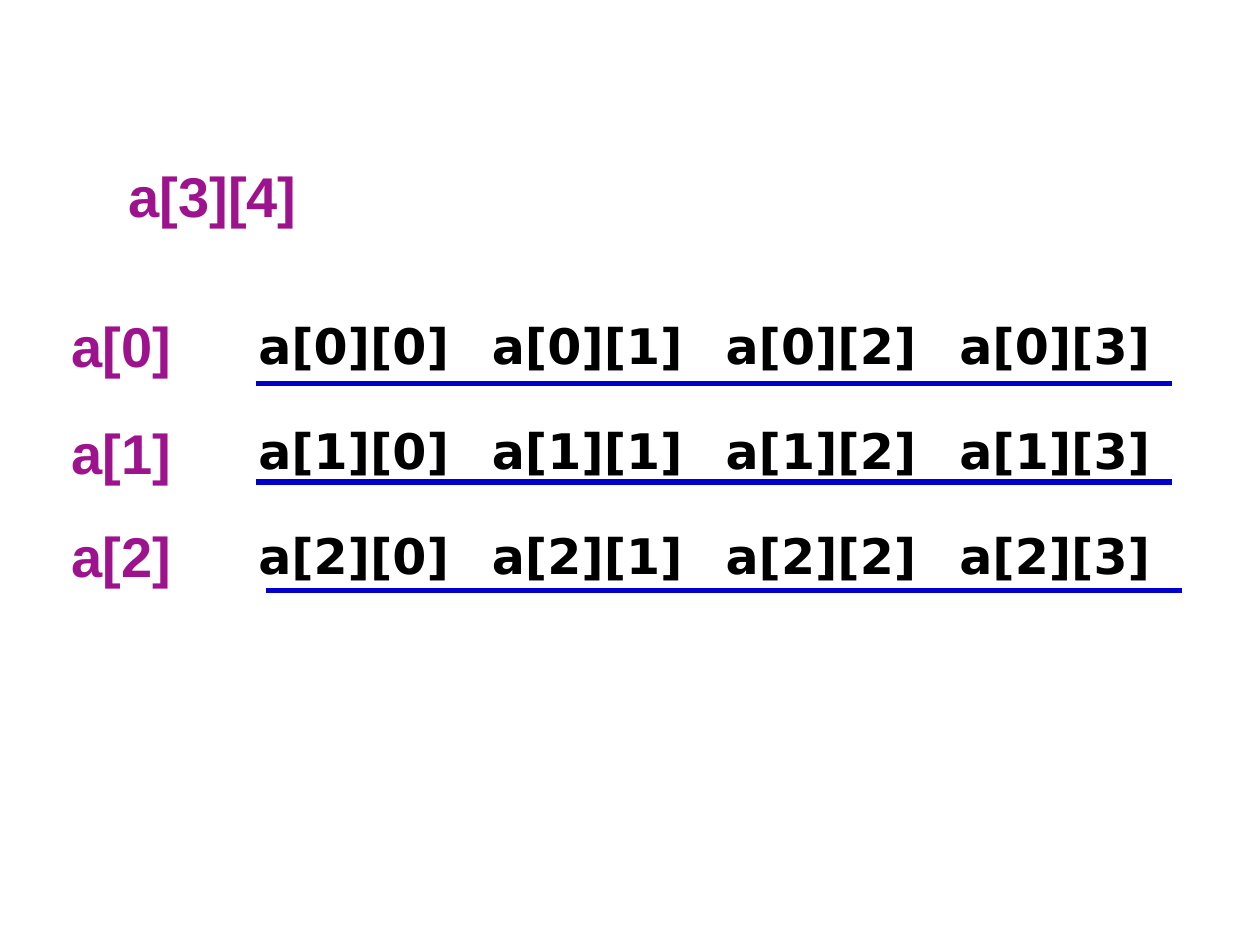
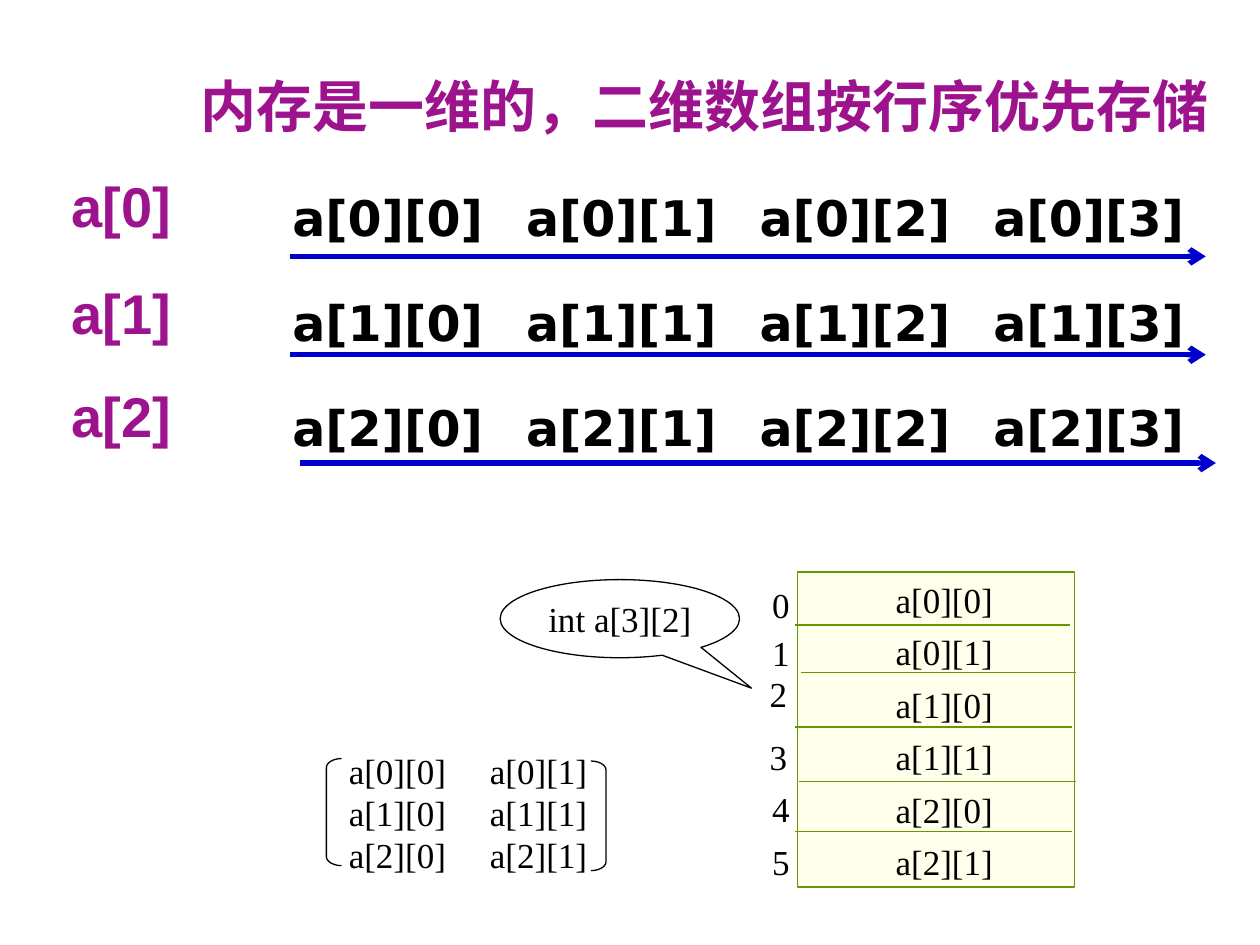
from dataclasses import dataclass

from lxml import etree
from pptx import Presentation
from pptx.dml.color import RGBColor
from pptx.enum.shapes import MSO_CONNECTOR, MSO_SHAPE
from pptx.enum.text import MSO_ANCHOR, MSO_AUTO_SIZE, PP_ALIGN
from pptx.oxml.ns import qn
from pptx.util import Inches, Pt

LINE = MSO_CONNECTOR.STRAIGHT
RECTANGLE = MSO_SHAPE.RECTANGLE
CALLOUT = MSO_SHAPE.OVAL_CALLOUT
LEFT_BRACKET = MSO_SHAPE.LEFT_BRACKET
RIGHT_BRACKET = MSO_SHAPE.RIGHT_BRACKET
TOP = MSO_ANCHOR.TOP
MIDDLE = MSO_ANCHOR.MIDDLE
ALIGN_LEFT = PP_ALIGN.LEFT
ALIGN_CENTER = PP_ALIGN.CENTER
NO_AUTO_SIZE = MSO_AUTO_SIZE.NONE

SLIDE_WIDTH = Inches(10)
SLIDE_HEIGHT = Inches(7.5)
COLUMN = SLIDE_WIDTH / 100
ROW = SLIDE_HEIGHT / 75
TITLE_ONLY = 5

PURPLE = "9D138D"
BLUE = "0000CC"
GREEN = "669900"
CREAM = "FFFFEB"
WHITE = "FFFFFF"
BLACK = "000000"


@dataclass(frozen=True)
class TextStyle:
    font: str
    size: int
    color: str
    bold: bool = False


@dataclass(frozen=True)
class Area:
    left: float
    top: float
    width: float
    height: float

    def lengths(self) -> tuple[int, int, int, int]:
        return (columns(self.left), rows(self.top),
                columns(self.width), rows(self.height))


@dataclass(frozen=True)
class ArrayRow:
    label_drop: float
    label_width: float
    line_shift: float
    line_drop: float


@dataclass(frozen=True)
class ArrayView:
    left: float
    top: float
    label_top: float
    arrow: bool


@dataclass(frozen=True)
class Divider:
    left: float
    top: float
    width: float


HEADING = TextStyle("Arial", 32, PURPLE, True)
ELEMENT = TextStyle("DejaVu Sans", 28, BLACK, True)
NOTE = TextStyle("Times New Roman", 20, BLACK)

HEADING_HEIGHT = 6.4
NOTE_HEIGHT = 4.4
ARRAY_COLUMNS = 4
ARRAY_ROWS = (
    ArrayRow(0, 11.7, 0.8, 7.05),
    ArrayRow(8.55, 11.7, 0.8, 14.85),
    ArrayRow(16.7, 12.5, 1.6, 23.45),
)
LOGICAL_VIEW = ArrayView(19.5, 23.4, 24.2, False)
STORAGE_VIEW = ArrayView(22.2, 13.3, 13.1, True)

MEMORY = Area(63.3, 45.4, 22, 25)
DIVIDERS = (
    Divider(63.1, 49.6, 21.8),
    Divider(63.6, 53.4, 21.8),
    Divider(63.1, 57.7, 22),
    Divider(63.4, 62, 22),
    Divider(63.1, 66, 22),
)
ADDRESSES = ((60.3, 45.8), (60.3, 49.6), (60.1, 52.9),
             (60.1, 57.9), (60.3, 62), (60.3, 66.2))
BRACKETS = (
    (LEFT_BRACKET, Area(25.9, 60.2, 1.2, 8.5)),
    (RIGHT_BRACKET, Area(46.9, 60.4, 1.2, 8.7)),
)


def columns(count: float) -> int:
    return round(COLUMN * count)


def rows(count: float) -> int:
    return round(ROW * count)


def color(value: str) -> RGBColor:
    return RGBColor.from_string(value)


def element_name(row: int, column: int) -> str:
    return f"a[{row}][{column}]"


def add_run(paragraph, text: str, style: TextStyle) -> None:
    run = paragraph.add_run()
    run.text = text
    run.font.name = style.font
    run.font.size = Pt(style.size)
    run.font.bold = style.bold
    run.font.color.rgb = color(style.color)


def write(shape, text: str, style: TextStyle, wrap: bool = True,
          anchor=TOP, alignment=ALIGN_LEFT) -> None:
    frame = shape.text_frame
    frame.word_wrap = wrap
    frame.auto_size = NO_AUTO_SIZE
    frame.vertical_anchor = anchor
    paragraph = frame.paragraphs[0]
    paragraph.alignment = alignment
    add_run(paragraph, text, style)


def add_text(slide, area: Area, text: str, style: TextStyle, wrap: bool = True) -> None:
    write(slide.shapes.add_textbox(*area.lengths()), text, style, wrap)


def add_line(slide, left: float, top: float, width: float,
             line_color: str, weight: float, arrow: bool = False) -> None:
    connector = slide.shapes.add_connector(
        LINE, columns(left), rows(top), columns(left + width), rows(top))
    connector.line.color.rgb = color(line_color)
    connector.line.width = Pt(weight)
    if arrow:
        etree.SubElement(connector.line._get_or_add_ln(), qn("a:tailEnd"), type="arrow")
    etree.SubElement(connector._element.spPr, qn("a:effectLst"))


def add_outline(slide, kind, area: Area, line_color: str, fill_color: str = ""):
    shape = slide.shapes.add_shape(kind, *area.lengths())
    shape.shadow.inherit = False
    shape.line.color.rgb = color(line_color)
    shape.line.width = Pt(0.75)
    if fill_color:
        shape.fill.solid()
        shape.fill.fore_color.rgb = color(fill_color)
    else:
        shape.fill.background()
    return shape


def add_titled_slide(presentation, title: str, area: Area):
    slide = presentation.slides.add_slide(presentation.slide_layouts[TITLE_ONLY])
    placeholder = slide.shapes.title
    placeholder.left, placeholder.top, placeholder.width, placeholder.height = area.lengths()
    write(placeholder, title, HEADING)
    return slide


def draw_array(slide, view: ArrayView) -> None:
    area = Area(view.left, view.top, 74.2, 25)
    table = slide.shapes.add_table(
        len(ARRAY_ROWS), ARRAY_COLUMNS, *area.lengths()).table
    table.first_row = False
    table.horz_banding = False
    for row, array_row in enumerate(ARRAY_ROWS):
        for column in range(ARRAY_COLUMNS):
            cell = table.cell(row, column)
            cell.fill.solid()
            cell.fill.fore_color.rgb = color(WHITE)
            cell.vertical_anchor = MIDDLE
            add_run(cell.text_frame.paragraphs[0], element_name(row, column), ELEMENT)
        label = Area(4.7, view.label_top + array_row.label_drop,
                     array_row.label_width, HEADING_HEIGHT)
        add_text(slide, label, f"a[{row}]", HEADING)
        add_line(slide, view.left + array_row.line_shift,
                 view.top + array_row.line_drop, 72.7, BLUE, 3, view.arrow)


def draw_memory(slide) -> None:
    add_outline(slide, RECTANGLE, MEMORY, GREEN, CREAM)
    for divider in DIVIDERS:
        add_line(slide, divider.left, divider.top, divider.width, GREEN, 0.75)
    step = MEMORY.height / len(ADDRESSES)
    for address, (left, top) in enumerate(ADDRESSES):
        add_text(slide, Area(left, top, 3.4, NOTE_HEIGHT), str(address), NOTE, False)
        cell = Area(70.1, MEMORY.top + address * step, 9.7, NOTE_HEIGHT)
        add_text(slide, cell, element_name(*divmod(address, 2)), NOTE, False)


def draw_matrix(slide) -> None:
    box = slide.shapes.add_textbox(*Area(26.7, 59, 22, 11).lengths())
    frame = box.text_frame
    frame.word_wrap = True
    for row in range(3):
        paragraph = frame.add_paragraph() if row else frame.paragraphs[0]
        tabs = etree.SubElement(paragraph._p.get_or_add_pPr(), qn("a:tabLst"))
        etree.SubElement(tabs, qn("a:tab"), pos=str(columns(11.2)), algn="l")
        add_run(paragraph, f"{element_name(row, 0)}\t{element_name(row, 1)}", NOTE)
    for kind, area in BRACKETS:
        bracket = add_outline(slide, kind, area, BLACK)
        bracket.adjustments[0] = 0.6


def draw_declaration(slide) -> None:
    callout = add_outline(slide, CALLOUT, Area(39.7, 46, 19, 6.2), BLACK)
    callout.adjustments[0] = 0.55
    callout.adjustments[1] = 0.89
    write(callout, "int a[3][2]", NOTE, False, MIDDLE, ALIGN_CENTER)


def main() -> None:
    presentation = Presentation()
    presentation.slide_width = SLIDE_WIDTH
    presentation.slide_height = SLIDE_HEIGHT

    logical = add_titled_slide(
        presentation, "a[3][4]", Area(9.2, 12.3, 15.9, HEADING_HEIGHT))
    draw_array(logical, LOGICAL_VIEW)

    storage = add_titled_slide(
        presentation, "内存是一维的，二维数组按行序优先存储",
        Area(14.9, 5.2, 82.4, HEADING_HEIGHT))
    draw_array(storage, STORAGE_VIEW)
    draw_declaration(storage)
    draw_memory(storage)
    draw_matrix(storage)

    presentation.save("out.pptx")


if __name__ == "__main__":
    main()
